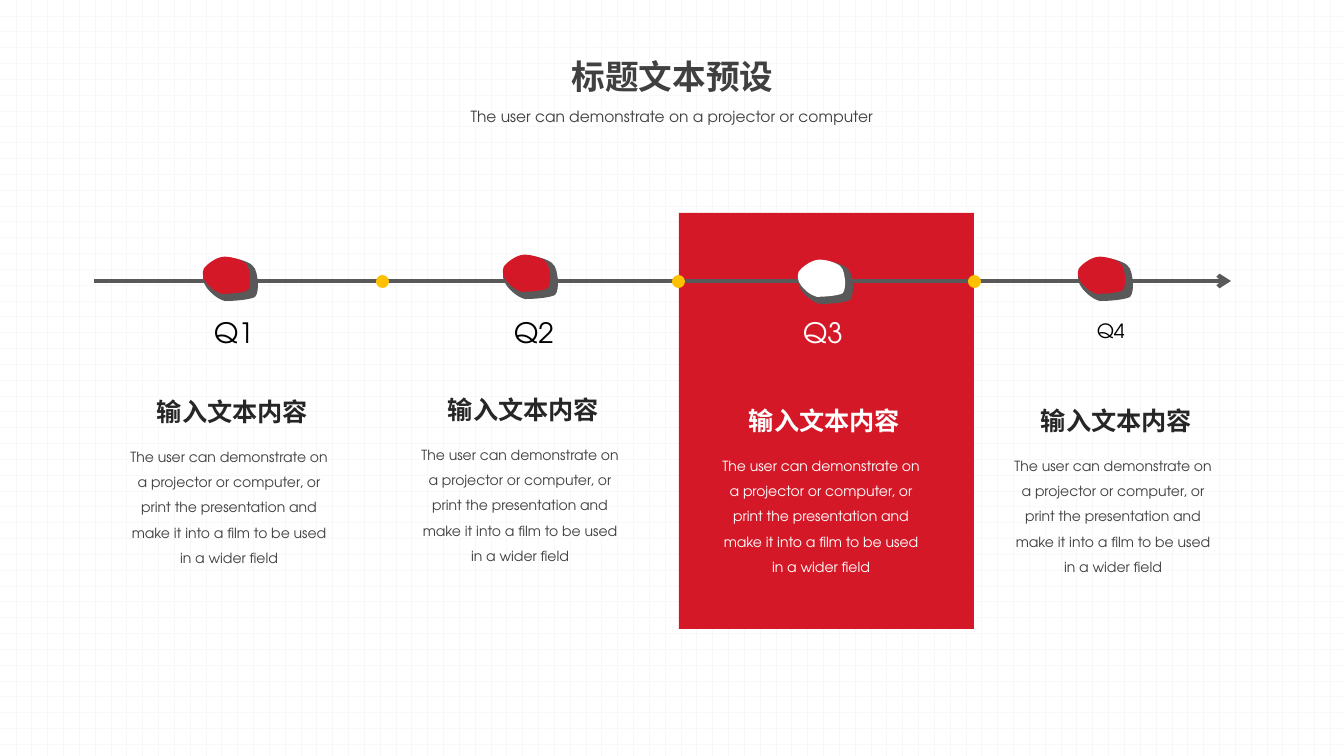
from lxml import etree
from pptx import Presentation
from pptx import util as u
from pptx.dml.color import RGBColor
from pptx.enum import dml, shapes, text
from pptx.oxml.ns import qn

PX = 914400 / 100.8
FONT = "TeX Gyre Adventor"
RED, GREY, YELLOW, WHITE = "D51827", "595959", "FFC000", "FFFFFF"
BLACK, DARK, SOFT = "000000", "262626", "404040"
BODY = ("The user can demonstrate on a projector or computer, or print the "
        "presentation and make it into a film to be used in a wider field")

presentation = Presentation()
presentation.slide_width = round(1344 * PX)
presentation.slide_height = round(756 * PX)
slide = presentation.slides.add_slide(presentation.slide_layouts[6])


def paint(shape, color):
    shape.fill.solid()
    shape.fill.fore_color.rgb = RGBColor.from_string(color)
    shape.line.fill.background()
    shape.shadow.inherit = False


def add_label(parent, words, box, size, color, bold=None, align=None, spacing=None,
              anchor="TOP", wrap=True, grow=False):
    shape = parent.shapes.add_textbox(*[round(v * PX) for v in box])
    frame = shape.text_frame
    frame.auto_size = text.MSO_AUTO_SIZE.SHAPE_TO_FIT_TEXT if grow else text.MSO_AUTO_SIZE.NONE
    frame.word_wrap = wrap
    frame.vertical_anchor = text.MSO_ANCHOR[anchor]
    paragraph = frame.paragraphs[0]
    paragraph.alignment = align
    paragraph.line_spacing = spacing
    run = paragraph.add_run()
    run.text = words
    run.font.name = FONT
    run.font.size = u.Pt(size)
    run.font.bold = bold
    run.font.color.rgb = RGBColor.from_string(color)


# Dotted background under a half-transparent white veil
background = slide.background.fill
background.patterned()
background.pattern = dml.MSO_PATTERN.DOTTED_GRID
background.fore_color.rgb = RGBColor.from_string("F2F2F2")
background.back_color.rgb = RGBColor.from_string(WHITE)
veil = slide.shapes.add_shape(shapes.MSO_SHAPE.RECTANGLE, 0, 0,
                              presentation.slide_width, presentation.slide_height)
paint(veil, WHITE)
veil_color = veil.fill._xPr.find(qn("a:solidFill"))[0]
etree.SubElement(veil_color, qn("a:alpha"), val="50000")

# Highlighted quarter
panel = slide.shapes.add_shape(shapes.MSO_SHAPE.RECTANGLE,
                               *[round(v * PX) for v in (679, 213, 295, 416)])
paint(panel, RED)

# Time axis with its arrow
axis = slide.shapes.add_connector(shapes.MSO_CONNECTOR.STRAIGHT,
                                  *[round(v * PX) for v in (94, 281, 1231, 281)])
axis.line.width = u.Pt(3)
axis.line.color.rgb = RGBColor.from_string(GREY)
etree.SubElement(axis.line._get_or_add_ln(), qn("a:tailEnd"), type="arrow")
etree.SubElement(axis._element.spPr, qn("a:effectLst"))

# Dots between the quarters
for index in range(3):
    dot = slide.shapes.add_shape(shapes.MSO_SHAPE.OVAL,
                                 *[round(v * PX) for v in (376 + 296 * index, 275, 13, 13)])
    paint(dot, YELLOW)

# Quarters: name, name left and width, name size, pebble corner, heading corner
quarters = [
    ("Q4", 1087, 50, 14, (1077, 257), (1031, 404)),
    ("Q3", 793, 50, 20, (797, 260), (739, 404)),
    ("Q2", 504, 49, 20, (502, 255), (438, 393)),
    ("Q1", 204, 46, 20, (202, 257), (147, 395)),
]
for name, left, width, size, _, _ in quarters:
    last = name == "Q4"
    add_label(slide, name, (left, 311 if last else 310, width, 44), size,
              WHITE if name == "Q3" else BLACK, anchor="MIDDLE",
              spacing=0.8 if last else None, wrap=last)

# Pebbles: a start point, then Bézier segments of two controls and an end
pebble = [
    (53, 40),
    (47, 43), (31, 44), (23, 44),
    (15, 42), (8, 35), (5, 31),
    (1, 26), (0, 20), (2, 15),
    (5, 10), (16, 2), (24, 1),
    (32, 0), (45, 4), (50, 8),
    (55, 12), (55, 20), (56, 25),
    (56, 30), (56, 37), (53, 40),
]
for name, _, _, _, (left, top), _ in reversed(quarters):
    group = slide.shapes.add_group_shape()
    # Grey pebble behind, smaller coloured one in front
    for ratio, lift, color in ((1, 0, GREY), (0.86, 1, WHITE if name == "Q3" else RED)):
        points = [((left + x * ratio) * PX, (top - lift + y * ratio) * PX) for x, y in pebble]
        builder = group.shapes.build_freeform(*points[0])
        builder.add_line_segments(points[1:], close=True)
        stone = builder.convert_to_shape()
        paint(stone, color)
        # Turn every three straight steps into one curve
        steps = list(stone._element.iter(qn("a:lnTo")))
        for index in range(0, len(pebble) - 1, 3):
            curve = etree.Element(qn("a:cubicBezTo"))
            steps[index].addprevious(curve)
            for step in steps[index:index + 3]:
                curve.append(step[0])
                step.getparent().remove(step)

# Heading and body of each quarter
for name, _, _, _, _, (left, top) in reversed(quarters):
    active = name == "Q3"
    add_label(slide, "输入文本内容", (left, top, 265, 40), 18,
              WHITE if active else DARK, bold=True, spacing=0.9)
    add_label(slide, BODY, (left - 28, top + 40, 220, 134), 10, WHITE if active else SOFT,
              align=text.PP_ALIGN.CENTER, spacing=1.5, grow=True)

# Title and subtitle
header = slide.shapes.add_group_shape()
add_label(header, "标题文本预设", (540, 56, 265, 40), 24, SOFT, bold=True,
          align=text.PP_ALIGN.CENTER, spacing=0.9)
add_label(header, "The user can demonstrate on a projector or computer", (459, 102, 426, 29),
          11, SOFT, align=text.PP_ALIGN.CENTER, wrap=False, grow=True)

presentation.save("out.pptx")
